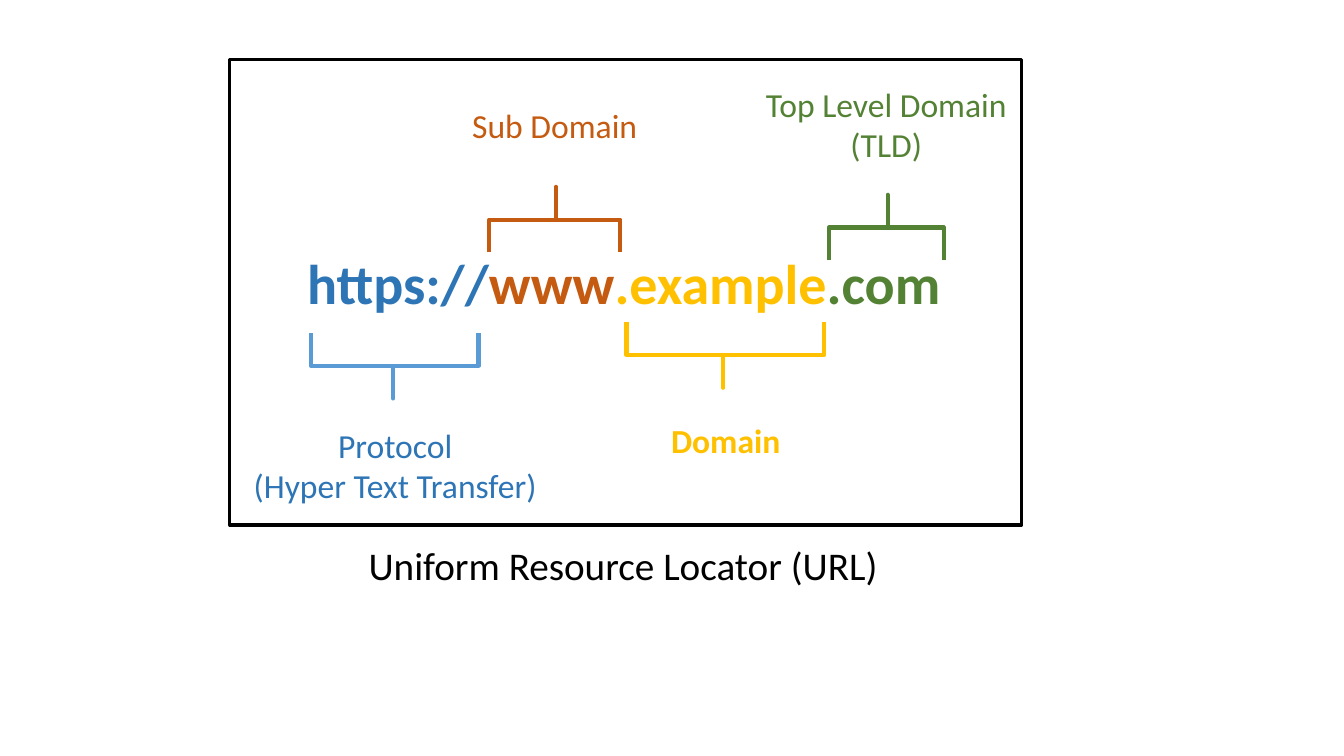
from pptx import Presentation
from pptx.dml.color import RGBColor
from pptx.enum.shapes import MSO_SHAPE
from pptx.enum.text import MSO_AUTO_SIZE, PP_ALIGN
from pptx.util import Cm, Pt

RECTANGLE = MSO_SHAPE.RECTANGLE
BRACE = MSO_SHAPE.LEFT_BRACE
FIT_SHAPE = MSO_AUTO_SIZE.SHAPE_TO_FIT_TEXT
LEFT, CENTER = PP_ALIGN.LEFT, PP_ALIGN.CENTER

COLORS = {
    "protocol": "2E75B6",
    "protocol_brace": "5B9BD5",
    "subdomain": "C55A11",
    "domain": "FFC000",
    "tld": "548235",
    "black": "000000",
}
URL_FORMAT = {"size": Pt(40), "bold": True}
LABEL_FORMAT = {"size": Pt(24)}
STRONG_LABEL_FORMAT = {"size": Pt(24), "bold": True}
CAPTION_FORMAT = {"size": Pt(28)}

# All boxes are left, top, width, height in cm; parts are relative to the frame
FRAME = (5.79, 1.5, 19.96, 11.73)
URL_BOX = (1.7, 4.65, 16.59, 1.96)
CAPTION_BOX = (3.25, 12.01, 13.49, 1.45)
BRACE_DEPTH = 1.65
POINT_UP, POINT_DOWN = 90, 270

URL_PARTS = [("https://", "protocol"), ("www", "subdomain"),
             (".example", "domain"), (".com", "tld")]

# Brace: left, top, span, direction, color
BRACES = [
    (2.05, 6.89, 4.22, POINT_DOWN, "protocol_brace"),
    (15.1, 3.41, 2.9, POINT_UP, "tld"),
    (10, 6.62, 4.98, POINT_DOWN, "domain"),
    (6.54, 3.21, 3.3, POINT_UP, "subdomain"),
]

# Label: box, lines, color, format
LABELS = [
    ((0.31, 9.07, 7.72, 2.31), ["Protocol", "(Hyper Text Transfer)"],
     "protocol", LABEL_FORMAT),
    ((5.84, 1.01, 4.7, 1.27), ["Sub Domain"], "subdomain", LABEL_FORMAT),
    ((10.85, 8.96, 3.3, 1.27), ["Domain"], "domain", STRONG_LABEL_FORMAT),
    ((13.13, 0.48, 6.83, 2.31), ["Top Level Domain", "(TLD)"],
     "tld", LABEL_FORMAT),
]


def color(name):
    return RGBColor.from_string(COLORS[name])


def inside(frame, box):
    left, top, width, height = box
    return frame[0] + left, frame[1] + top, width, height


def add_text(slide, box, lines, font_format, alignment=LEFT):
    """Each line is a list of (text, color name) runs."""
    text_frame = slide.shapes.add_textbox(*map(Cm, box)).text_frame
    text_frame.word_wrap = False
    text_frame.auto_size = FIT_SHAPE
    for index, line in enumerate(lines):
        paragraph = text_frame.add_paragraph() if index else text_frame.paragraphs[0]
        paragraph.alignment = alignment
        for text, color_name in line:
            run = paragraph.add_run()
            run.text = text
            run.font.name = "Calibri"
            run.font.color.rgb = color(color_name)
            for attribute, value in font_format.items():
                setattr(run.font, attribute, value)


def add_outline(slide, kind, box, color_name, width):
    shape = slide.shapes.add_shape(kind, *map(Cm, box))
    shape.shadow.inherit = False
    shape.fill.background()
    shape.line.color.rgb = color(color_name)
    shape.line.width = Pt(width)
    return shape


def add_brace(slide, frame, left, top, span, direction, color_name):
    # The unrotated brace stands upright around the same centre
    shift = (span - BRACE_DEPTH) / 2
    box = inside(frame, (left + shift, top - shift, BRACE_DEPTH, span))
    brace = add_outline(slide, BRACE, box, color_name, 3)
    brace.adjustments[0] = 0
    brace.adjustments[1] = 0.49
    brace.rotation = direction


def add_url_diagram(slide, frame):
    # Address
    add_text(slide, inside(frame, URL_BOX), [URL_PARTS], URL_FORMAT)
    # Braces and their labels
    for brace in BRACES:
        add_brace(slide, frame, *brace)
    for box, lines, color_name, font_format in LABELS:
        runs = [[(line, color_name)] for line in lines]
        add_text(slide, inside(frame, box), runs, font_format, CENTER)
    # Frame and caption
    add_outline(slide, RECTANGLE, frame, "black", 2.25)
    add_text(slide, inside(frame, CAPTION_BOX),
             [[("Uniform Resource Locator (URL)", "black")]], CAPTION_FORMAT)


def main():
    presentation = Presentation()
    presentation.slide_width = Cm(33.87)
    presentation.slide_height = Cm(19.05)
    slide = presentation.slides.add_slide(presentation.slide_layouts[6])
    add_url_diagram(slide, FRAME)
    presentation.save("out.pptx")


if __name__ == "__main__":
    main()
